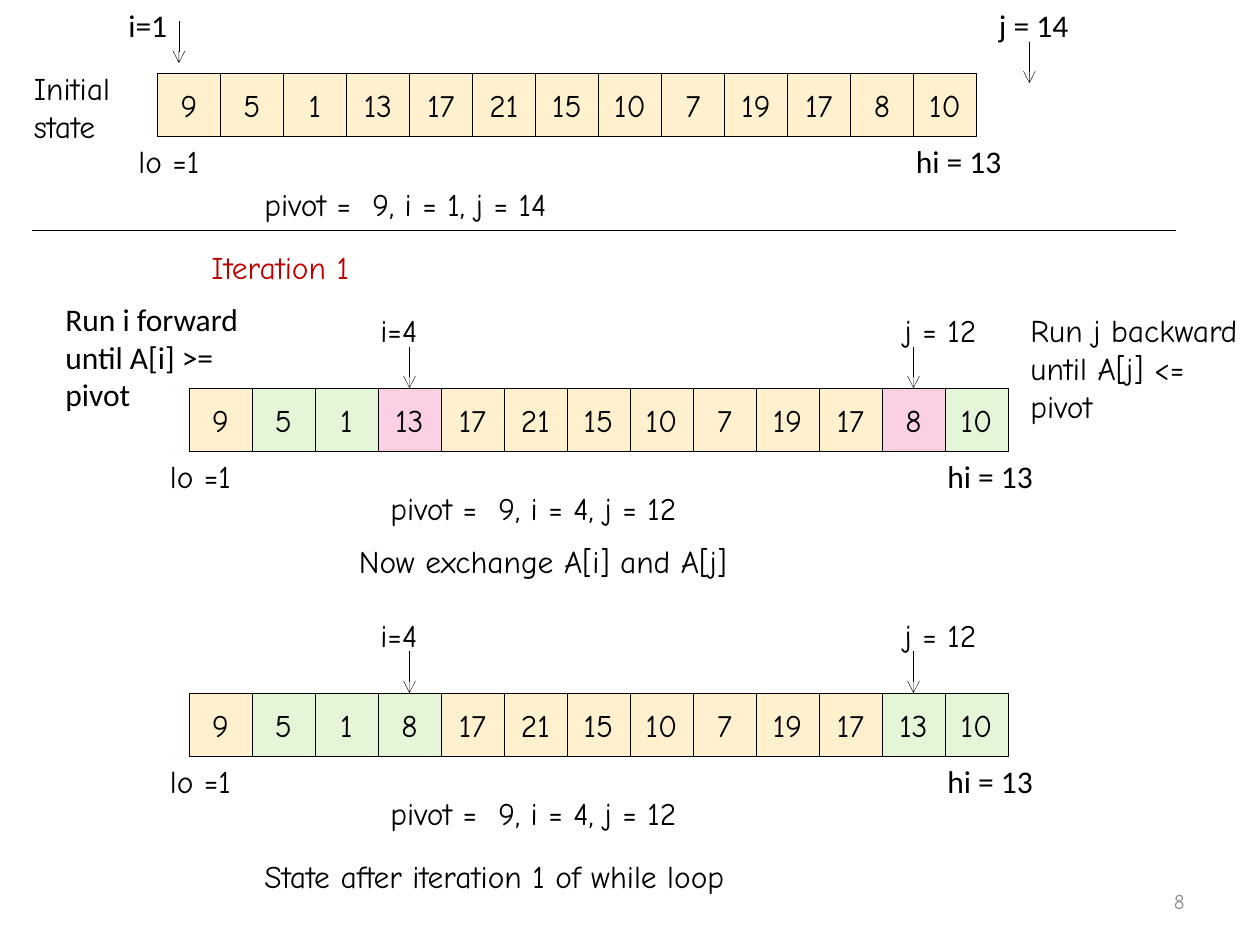
from lxml import etree
from pptx import Presentation
from pptx.dml.color import RGBColor
from pptx.enum.shapes import MSO_CONNECTOR, MSO_SHAPE
from pptx.enum.text import MSO_ANCHOR, MSO_AUTO_SIZE, PP_ALIGN
from pptx.oxml.ns import qn
from pptx.util import Inches, Pt

LEFT, CENTER, RIGHT = PP_ALIGN.LEFT, PP_ALIGN.CENTER, PP_ALIGN.RIGHT
TOP, MIDDLE = MSO_ANCHOR.TOP, MSO_ANCHOR.MIDDLE
RECTANGLE, STRAIGHT = MSO_SHAPE.RECTANGLE, MSO_CONNECTOR.STRAIGHT
GROW = MSO_AUTO_SIZE.SHAPE_TO_FIT_TEXT

BLACK = RGBColor(0x00, 0x00, 0x00)
RED = RGBColor(0xBB, 0x00, 0x00)
GRAY = RGBColor(0x8C, 0x8C, 0x8C)
CREAM = RGBColor(0xFF, 0xF1, 0xCE)
GREEN = RGBColor(0xE5, 0xF6, 0xD8)
PINK = RGBColor(0xFB, 0xD0, 0xE4)

COMIC, PLAIN = "Comic Neue", "Calibri"
CELL, LABEL_HEIGHT, ARROW_LENGTH = 0.5, 0.4, 0.33


def write(paragraph, text, font=COMIC, size=18, color=BLACK, align=LEFT):
    paragraph.alignment = align
    run = paragraph.add_run()
    run.text = text
    run.font.name = font
    run.font.size = Pt(size)
    run.font.color.rgb = color


def add_label(slide, left, top, width, lines, height=LABEL_HEIGHT, wrap=False,
              anchor=TOP, **style):
    box = slide.shapes.add_textbox(Inches(left), Inches(top),
                                   Inches(width), Inches(height))
    frame = box.text_frame
    frame.word_wrap = wrap
    frame.auto_size = GROW
    frame.vertical_anchor = anchor
    for number, line in enumerate(lines):
        paragraph = frame.add_paragraph() if number else frame.paragraphs[0]
        write(paragraph, line, **style)


def add_line(slide, start, end, weight, arrow=False):
    line = slide.shapes.add_connector(STRAIGHT, *map(Inches, start + end))
    line.line.color.rgb = BLACK
    line.line.width = Pt(weight)
    if arrow:
        etree.SubElement(line.line._get_or_add_ln(), qn("a:tailEnd"), type="arrow")
    etree.SubElement(line._element.spPr, qn("a:effectLst"))


def add_cell(slide, left, top, value, fill):
    cell = slide.shapes.add_shape(RECTANGLE, Inches(left), Inches(top),
                                  Inches(CELL), Inches(CELL))
    cell.shadow.inherit = False
    cell.fill.solid()
    cell.fill.fore_color.rgb = fill
    cell.line.color.rgb = BLACK
    cell.line.width = Pt(0.25)
    frame = cell.text_frame
    frame.margin_left = frame.margin_right = 0
    frame.word_wrap = True
    frame.vertical_anchor = MIDDLE
    write(frame.paragraphs[0], str(value), align=CENTER)


def add_pointer(slide, text, label_at, width, arrow_at, font=COMIC):
    add_label(slide, *label_at, width, [text], font=font)
    x, y = arrow_at
    add_line(slide, (x, y), (x, y + ARROW_LENGTH), 0.25, arrow=True)


def add_array(slide, left, top, values, fills, pivot, pivot_offset):
    """Row of cells with its bounds and pivot line below."""
    for index, value in enumerate(values):
        add_cell(slide, left + index * CELL, top, value, fills.get(index, CREAM))
    add_label(slide, left - 0.25, top + CELL, 0.72, ["lo =1"])
    add_label(slide, left + 5.92, top + CELL, 0.89, ["hi = 13"], font=PLAIN)
    dx, dy = pivot_offset
    add_label(slide, left + dx, top + dy, 2.95, [pivot], wrap=True)


def add_initial_state(slide, left, top, values):
    add_array(slide, left, top, values, {}, "pivot =  9, i = 1, j = 14", (0.75, 0.84))
    add_pointer(slide, "i=1", (left - 0.33, top - 0.58), 0.51,
                (left + 0.17, top - 0.41), PLAIN)
    add_pointer(slide, "j = 14", (left + 6.58, top - 0.58), 0.76,
                (left + 6.92, top - 0.25), PLAIN)
    add_label(slide, left - 1.08, top - 0.08, 0.93, ["Initial", "state"], height=0.71)


def add_iteration_state(slide, left, top, values, fills, i, j):
    """Array whose pointers stand over the cells at indexes i and j."""
    add_array(slide, left, top, values, fills, "pivot =  9, i = 4, j = 12", (1.5, 0.75))
    for text, index, shift, width in (("i=4", i, -0.08, 0.55),
                                      ("j = 12", j, 0.08, 0.85)):
        cell_left = left + index * CELL
        add_pointer(slide, text, (cell_left + shift, top - 0.66), width,
                    (cell_left + CELL / 2, top - ARROW_LENGTH))


prs = Presentation()
prs.slide_width, prs.slide_height = Inches(10), Inches(7.5)
slide = prs.slides.add_slide(prs.slide_layouts[6])

# Array before and after the exchange
I, J = 3, 11
start = [9, 5, 1, 13, 17, 21, 15, 10, 7, 19, 17, 8, 10]
exchanged = start.copy()
exchanged[I], exchanged[J] = start[J], start[I]
passed = {1: GREEN, 2: GREEN, 12: GREEN}

# Initial state and divider
add_initial_state(slide, 1.25, 0.58, start)
add_line(slide, (0.25, 1.83), (9.33, 1.83), 0.75)

# Iteration 1: pointers stop
add_label(slide, 1.58, 1.92, 1.49, ["Iteration 1"], color=RED)
add_iteration_state(slide, 1.5, 3.08, start, {**passed, I: PINK, J: PINK}, I, J)
add_label(slide, 0.42, 2.33, 1.92, ["Run i forward until A[i] >= pivot"],
          height=1.01, wrap=True, font=PLAIN)
add_label(slide, 8.08, 2.42, 1.92, ["Run j backward until A[j] <= pivot"],
          height=1.01, wrap=True)
add_label(slide, 2.75, 4.25, 3.44, ["Now exchange A[i] and A[j]"])

# Iteration 1: after the exchange
add_iteration_state(slide, 1.5, 5.5, exchanged, {**passed, I: GREEN, J: GREEN}, I, J)
add_label(slide, 2, 6.75, 4.45, ["State after iteration 1 of while loop"])

# Slide number
add_label(slide, 7.17, 6.95, 2.33, ["8"], wrap=True, anchor=MIDDLE,
          size=12, color=GRAY, align=RIGHT)

prs.save("out.pptx")
